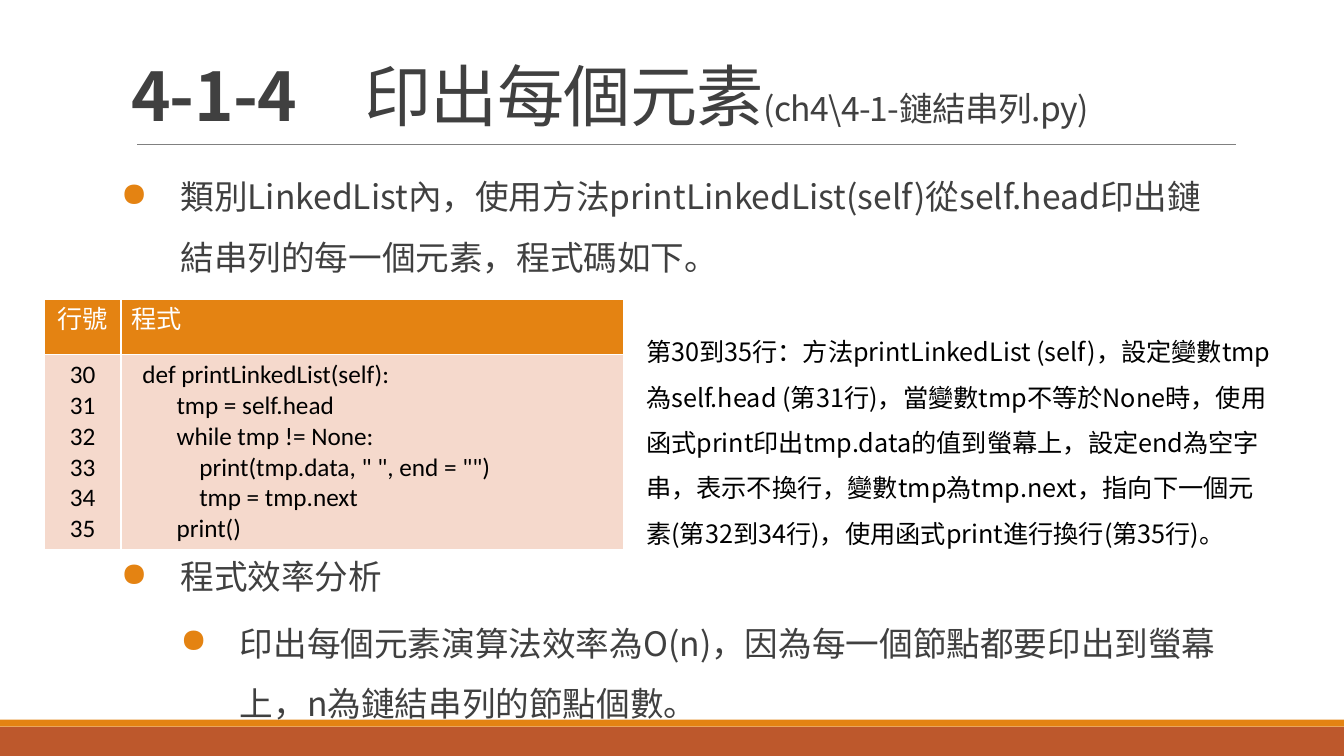
import lxml.etree
import pptx
import pptx.dml.color
import pptx.enum.shapes
import pptx.enum.text
import pptx.oxml.ns
import pptx.util

Inches = pptx.util.Inches
Pt = pptx.util.Pt
Align = pptx.enum.text.PP_ALIGN
Anchor = pptx.enum.text.MSO_ANCHOR
qn = pptx.oxml.ns.qn

COLORS = {
    "text": "404040", "black": "000000", "white": "FFFFFF", "rule": "808080",
    "orange": "E48312", "rust": "BD582C", "code": "F5D9CC",
}
TEXT_FONT = "Noto Sans CJK SC"
TABLE_FONT = "Calibri"

TITLE_RUNS = [("4-1-4　", 48, True), ("印出每個元素", 48, False),
              ("(ch4\\4-1-鏈結串列.py)", 24, False)]
# Text, level, space before and space after in points
BULLETS = [
    ("類別LinkedList內，使用方法printLinkedList(self)從self.head印出鏈結串列的每一個元素，程式碼如下。", 0, 0, 2),
    ("程式效率分析", 0, 183, 2),
    ("印出每個元素演算法效率為O(n)，因為每一個節點都要印出到螢幕上，n為鏈結串列的節點個數。", 1, 2, 4),
]
CODE_LINES = [
    "  def printLinkedList(self):",
    "        tmp = self.head",
    "        while tmp != None:",
    '            print(tmp.data, " ", end = "")',
    "            tmp = tmp.next",
    "        print()",
]
FIRST_LINE_NUMBER = 30
EXPLANATION = (
    "第30到35行：方法printLinkedList (self)，設定變數tmp為self.head (第31行)，"
    "當變數tmp不等於None時，使用函式print印出tmp.data的值到螢幕上，"
    "設定end為空字串，表示不換行，變數tmp為tmp.next，"
    "指向下一個元素(第32到34行)，使用函式print進行換行(第35行)。"
)


def color(name):
    return pptx.dml.color.RGBColor.from_string(COLORS[name])


class SlideBuilder:
    def __init__(self, presentation):
        self.slide = presentation.slides.add_slide(presentation.slide_layouts[5])

    def run(self, paragraph, text, size, color_name, font=TEXT_FONT, bold=False):
        run = paragraph.add_run()
        run.text = text
        run.font.size = Pt(size)
        run.font.bold = bold
        run.font.name = font
        run.font.color.rgb = color(color_name)
        properties = run._r.get_or_add_rPr()
        lxml.etree.SubElement(properties, qn("a:ea")).set("typeface", font)
        return run

    def bar(self, top, height, color_name):
        shape = self.slide.shapes.add_shape(
            pptx.enum.shapes.MSO_SHAPE.RECTANGLE,
            0, Inches(top), Inches(13.33), Inches(height))
        shape.shadow.inherit = False
        shape.fill.solid()
        shape.fill.fore_color.rgb = color(color_name)
        shape.line.fill.background()

    def rule(self, left, right, top):
        line = self.slide.shapes.add_connector(
            pptx.enum.shapes.MSO_CONNECTOR.STRAIGHT,
            Inches(left), Inches(top), Inches(right), Inches(top))
        line.line.color.rgb = color("rule")
        line.line.width = Pt(0.5)
        lxml.etree.SubElement(line._element.spPr, qn("a:effectLst"))

    def title(self, runs, left, top, width, height):
        shape = self.slide.shapes.title
        shape.left, shape.top = Inches(left), Inches(top)
        shape.width, shape.height = Inches(width), Inches(height)
        frame = shape.text_frame
        frame.word_wrap = True
        frame.auto_size = pptx.enum.text.MSO_AUTO_SIZE.NONE
        frame.vertical_anchor = Anchor.BOTTOM
        paragraph = frame.paragraphs[0]
        paragraph.alignment = Align.LEFT
        paragraph.line_spacing = 0.85
        for text, size, bold in runs:
            run = self.run(paragraph, text, size, "text", bold=bold)
            run._r.get_or_add_rPr().set("spc", "-50")

    def text_box(self, left, top, width, height):
        box = self.slide.shapes.add_textbox(
            Inches(left), Inches(top), Inches(width), Inches(height))
        box.text_frame.word_wrap = True
        return box.text_frame

    def bullets(self, items, left, top, width, height):
        frame = self.text_box(left, top, width, height)
        frame.margin_left = frame.margin_right = 0
        for index, (text, level, before, after) in enumerate(items):
            paragraph = frame.paragraphs[0] if index == 0 else frame.add_paragraph()
            paragraph.level = level
            paragraph.line_spacing = 1.5
            paragraph.space_before, paragraph.space_after = Pt(before), Pt(after)
            properties = paragraph._p.get_or_add_pPr()
            properties.set("marL", str(Inches(0.59) * (level + 1)))
            properties.set("indent", str(-Inches(0.59)))
            bullet_color = lxml.etree.SubElement(properties, qn("a:buClr"))
            lxml.etree.SubElement(bullet_color, qn("a:srgbClr")).set("val", COLORS["orange"])
            lxml.etree.SubElement(properties, qn("a:buChar")).set("char", "●")
            self.run(paragraph, text, 24, "text")

    def paragraph_text(self, text, left, top, width, height):
        paragraph = self.text_box(left, top, width, height).paragraphs[0]
        paragraph.line_spacing = 1.5
        self.run(paragraph, text, 18, "black")

    def cell(self, cell, lines, fill, color_name, alignment):
        cell.fill.solid()
        cell.fill.fore_color.rgb = color(fill)
        frame = cell.text_frame
        for index, text in enumerate(lines):
            paragraph = frame.paragraphs[0] if index == 0 else frame.add_paragraph()
            paragraph.alignment = alignment
            self.run(paragraph, text, 18, color_name, TABLE_FONT)

    def code_table(self, code, first_number, left, top, widths, heights):
        table = self.slide.shapes.add_table(
            2, 2, Inches(left), Inches(top),
            Inches(sum(widths)), Inches(sum(heights))).table
        for column, width in zip(table.columns, widths):
            column.width = Inches(width)
        for row, height in zip(table.rows, heights):
            row.height = Inches(height)
        numbers = [str(first_number + offset) for offset in range(len(code))]
        contents = [("行號", numbers, Align.CENTER), ("程式", code, Align.LEFT)]
        for column, (heading, lines, alignment) in enumerate(contents):
            self.cell(table.cell(0, column), [heading], "orange", "white", alignment)
            self.cell(table.cell(1, column), lines, "code", "black", alignment)


def main():
    presentation = pptx.Presentation()
    presentation.slide_width = Inches(13.33)
    presentation.slide_height = Inches(7.5)
    builder = SlideBuilder(presentation)
    builder.bar(7.21, 0.29, "rust")
    builder.bar(7.14, 0.07, "orange")
    builder.rule(1.36, 12.26, 1.43)
    builder.title(TITLE_RUNS, 1.2, 0.31, 11, 1.08)
    builder.bullets(BULLETS, 1.2, 1.5, 11, 5.39)
    builder.code_table(CODE_LINES, FIRST_LINE_NUMBER, 0.44, 2.97, (0.76, 4.99), (0.55, 1.93))
    builder.paragraph_text(EXPLANATION, 6.31, 3.14, 6.45, 2.37)
    presentation.save("out.pptx")


if __name__ == "__main__":
    main()
